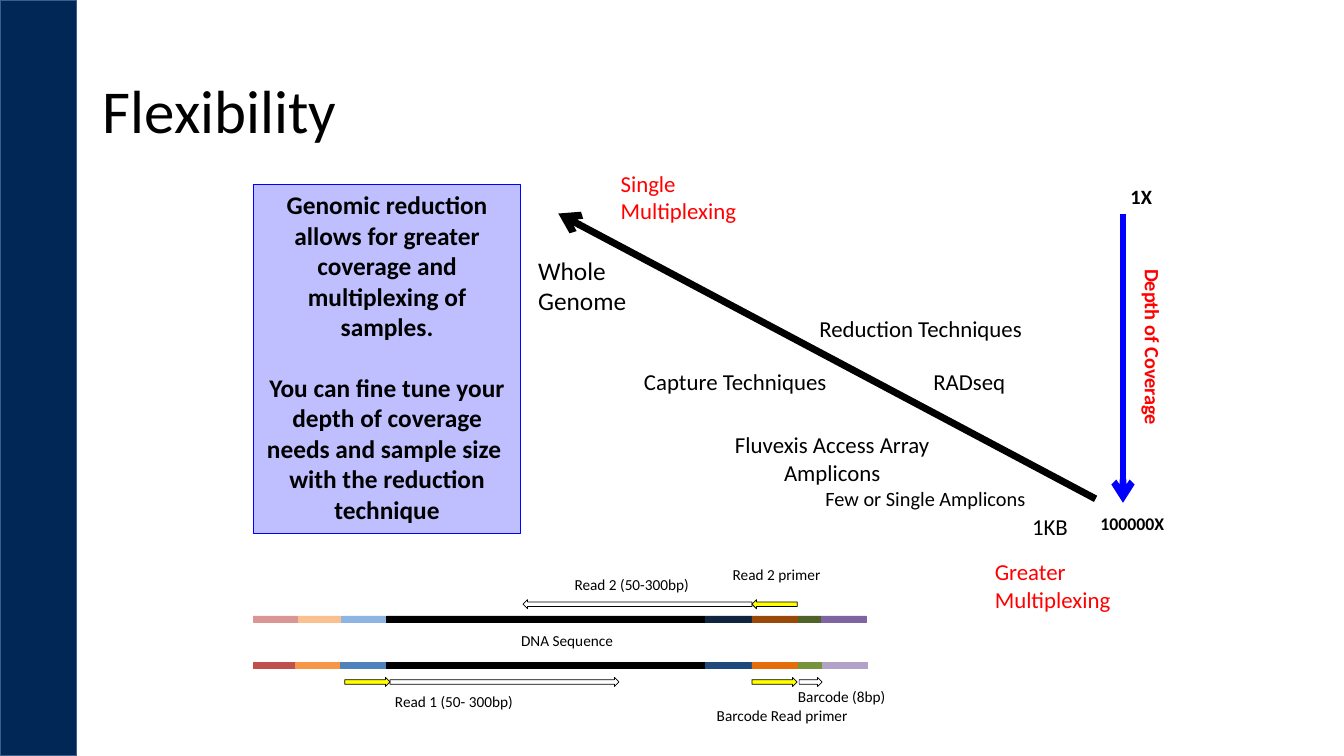
"""Build the Flexibility slide on coverage, multiplexing and read layout."""
from itertools import pairwise

from lxml import etree
from pptx import Presentation
from pptx.dml.color import RGBColor
from pptx.enum.shapes import MSO_CONNECTOR, MSO_SHAPE
from pptx.enum.text import MSO_ANCHOR, PP_ALIGN
from pptx.oxml.ns import qn
from pptx.util import Cm, Pt

RECT, ARROW = MSO_SHAPE.RECTANGLE, MSO_SHAPE.RIGHT_ARROW
STRAIGHT = MSO_CONNECTOR.STRAIGHT
LEFT, CENTER = PP_ALIGN.LEFT, PP_ALIGN.CENTER
TOP, MIDDLE = MSO_ANCHOR.TOP, MSO_ANCHOR.MIDDLE
BLACK, RED, BLUE, YELLOW = "000000", "FF0000", "0000FF", "FFFF00"


def color(value):
    return RGBColor.from_string(value)


def write(frame, text, size=16.3, ink=BLACK, bold=False, align=LEFT,
          anchor=TOP, wrap=True, spacing=None, gaps=()):
    frame.word_wrap = wrap
    frame.vertical_anchor = anchor
    for index, line in enumerate(text.split("\n")):
        paragraph = frame.add_paragraph() if index else frame.paragraphs[0]
        paragraph.alignment = align
        if spacing:
            paragraph.line_spacing = spacing
        if index in gaps:
            paragraph.space_before = Pt(size * 1.2)
        run = paragraph.add_run()
        run.text = line
        run.font.name = "Calibri"
        run.font.size = Pt(size)
        run.font.bold = bold
        run.font.color.rgb = color(ink)


class Canvas:
    def __init__(self, slide):
        self.slide = slide

    def shape(self, kind, left, top, width, height, fill=None, line=BLACK,
              weight=0.5, alpha=None, rotation=0):
        shape = self.slide.shapes.add_shape(
            kind, Cm(left), Cm(top), Cm(width), Cm(height))
        shape.shadow.inherit = False
        shape.rotation = rotation
        if fill:
            shape.fill.solid()
            shape.fill.fore_color.rgb = color(fill)
        else:
            shape.fill.background()
        if alpha:
            tint = shape.fill._xPr.find(qn("a:solidFill"))[0]
            etree.SubElement(tint, qn("a:alpha"), val=str(alpha * 1000))
        shape.line.color.rgb = color(line)
        shape.line.width = Pt(weight)
        return shape

    def label(self, text, left, top, width, height, rotation=0, **style):
        box = self.slide.shapes.add_textbox(
            Cm(left), Cm(top), Cm(width), Cm(height))
        box.rotation = rotation
        write(box.text_frame, text, **style)

    def arrow(self, x1, y1, x2, y2, ink, weight):
        arrow = self.slide.shapes.add_connector(
            STRAIGHT, Cm(x1), Cm(y1), Cm(x2), Cm(y2))
        arrow.line.color.rgb = color(ink)
        arrow.line.width = Pt(weight)
        line = arrow.line._get_or_add_ln()
        etree.SubElement(line, qn("a:tailEnd"), type="arrow")
        etree.SubElement(arrow._element.spPr, qn("a:effectLst"))

    def strand(self, top, segments, end):
        for (left, fill), (right, _) in pairwise([*segments, (end, None)]):
            self.shape(RECT, left, top, right - left, 0.16, fill, fill)


def draw_reads(canvas):
    canvas.strand(15.52, [
        (6.38, "D99694"), (7.52, "FAC090"), (8.61, "8EB4E3"), (9.75, BLACK),
        (17.78, "0F243E"), (18.95, "984807"), (20.12, "4F6228"),
        (20.7, "8064A2")], 21.84)
    canvas.strand(16.69, [
        (6.38, "C0504D"), (7.44, "F79646"), (8.59, "4F81BD"), (9.75, BLACK),
        (17.78, "1F497D"), (18.95, "E46C0A"), (20.12, "77933C"),
        (20.73, "B3A2C7")], 21.87)
    for left, top, width, fill, rotation in [
            (13.18, 15.11, 5.77, None, 180), (18.95, 15.11, 1.14, YELLOW, 180),
            (8.69, 17.07, 1.14, YELLOW, 0), (9.83, 17.07, 5.77, None, 0),
            (20.14, 17.07, 0.58, None, 0), (18.95, 17.07, 1.14, YELLOW, 0)]:
        canvas.shape(ARROW, left, top, width, 0.23, fill, rotation=rotation)
    for text, left, top, width, align in [
            ("DNA Sequence", 9.3, 15.77, 9.98, CENTER),
            ("Read 1 (50- 300bp)", 8.81, 17.32, 5.26, CENTER),
            ("Read 2 (50-300bp)", 13.67, 14.38, 4.5, CENTER),
            ("Read 2 primer", 17.93, 14.12, 3.28, CENTER),
            ("Barcode (8bp)", 19.86, 17.2, 3.89, LEFT),
            ("Barcode Read primer", 17.5, 17.68, 4.42, CENTER)]:
        canvas.label(text, left, top, width, 0.71, size=10.9, align=align)


def draw_scale(canvas):
    canvas.arrow(28.3, 5.38, 28.3, 12.67, BLUE, 4.75)
    canvas.label("Depth of Coverage", 26.29, 8.84, 5.51, 0.89, rotation=90,
                 size=14.5, ink=RED, bold=True)
    canvas.label("1X", 28.24, 4.52, 1.35, 0.89, size=14.5, bold=True)
    canvas.label("100000X", 27.48, 12.8, 2.36, 0.79, size=12.7, bold=True)
    canvas.arrow(27.61, 12.57, 14.07, 5.38, BLACK, 5)
    canvas.label("Whole Genome", 13.31, 6.3, 3.63, 1.8, size=18.1)
    canvas.label("1KB", 25.76, 12.8, 1.93, 0.97)
    canvas.label("Reduction Techniques", 20.4, 7.8, 6.15, 0.97)
    canvas.label("Capture Techniques", 15.98, 9.14, 5.18, 0.97, wrap=False)
    canvas.label("Fluvexis Access Array\nAmplicons", 17.7, 10.74, 6.55, 1.65,
                 align=CENTER)
    canvas.label("Few or Single Amplicons", 20.55, 12.12, 5.59, 0.89,
                 size=14.5, wrap=False)
    canvas.label("RADseq", 23.27, 9.14, 2.87, 0.97)
    canvas.label("Greater Multiplexing", 24.82, 13.94, 4.42, 1.65, ink=RED)
    canvas.label("Single Multiplexing", 15.39, 4.14, 4.42, 1.65, ink=RED)


def main():
    deck = Presentation()
    deck.slide_width, deck.slide_height = Cm(33.87), Cm(19.05)
    canvas = Canvas(deck.slides.add_slide(deck.slide_layouts[6]))
    canvas.shape(RECT, 0, 0, 1.93, 19.05, "002755", "3A5F8C", 1)
    canvas.label("Flexibility", 2.34, 1.02, 29.21, 3.68, size=43.5,
                 anchor=MIDDLE, spacing=0.9)
    draw_reads(canvas)
    draw_scale(canvas)
    summary = canvas.shape(RECT, 6.4, 4.65, 6.71, 8.79, BLUE, BLUE, 0.75,
                           alpha=25)
    write(summary.text_frame,
          "Genomic reduction allows for greater coverage and multiplexing "
          "of samples.\nYou can fine tune your depth of coverage needs and "
          "sample size \nwith the reduction technique",
          size=18.1, bold=True, align=CENTER, gaps=(1,))
    deck.save("out.pptx")


if __name__ == "__main__":
    main()
